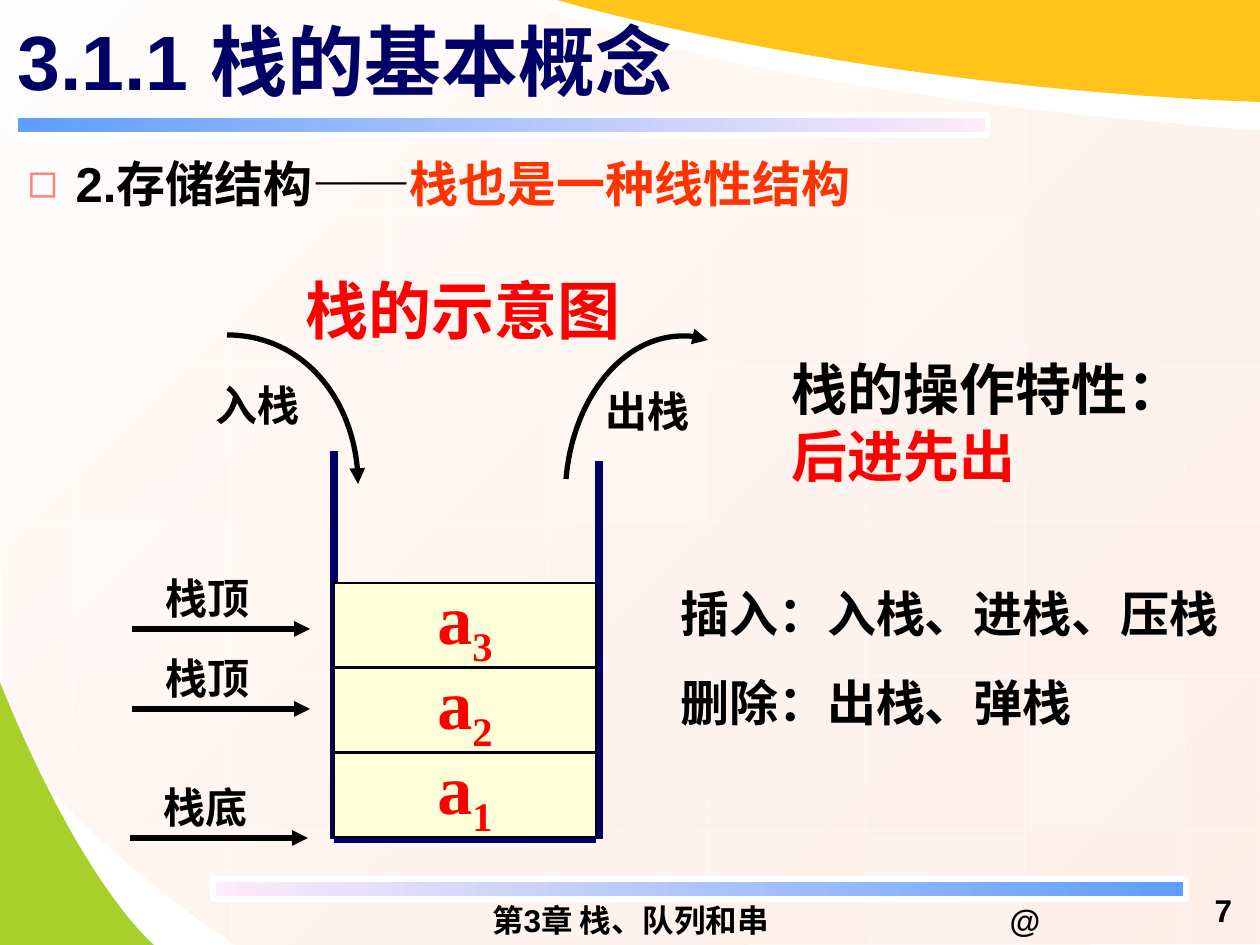
from lxml.etree import SubElement
from pptx import Presentation
from pptx.dml.color import RGBColor
from pptx.enum.shapes import MSO_CONNECTOR, MSO_SHAPE
from pptx.enum.text import MSO_ANCHOR, PP_ALIGN
from pptx.oxml.ns import qn
from pptx.util import Pt

PX = 914400 / 126
WHITE = RGBColor(0xFF, 0xFF, 0xFF)
BLACK = RGBColor(0, 0, 0)
NAVY = RGBColor(0, 0, 0x66)
RED = RGBColor(0xFF, 0, 0)
ORANGE = RGBColor(0xFF, 0x33, 0)
CREAM = RGBColor(0xFF, 0xFF, 0xD9)
GREEN = RGBColor(0xA8, 0xD0, 0x2A)
YELLOW = RGBColor(0xFF, 0xC3, 0x19)
BLUE = RGBColor(0x5E, 0x9E, 0xFF)
PINK = RGBColor(0xFF, 0xEB, 0xFA)
PAPER = RGBColor(0xFF, 0xFE, 0xFE)
PEACH = RGBColor(0xFE, 0xE9, 0xDE)

prs = Presentation()
prs.slide_width, prs.slide_height = round(1260 * PX), round(945 * PX)
slide = prs.slides.add_slide(prs.slide_layouts[1])
shapes = slide.shapes


def add_outline(start, *segments, close=True):
    """Segments hold one point for a line, three for a cubic curve."""
    fb = shapes.build_freeform(*start, scale=PX)
    fb.add_line_segments([point for seg in segments for point in seg], close=close)
    s = fb.convert_to_shape()
    steps = iter(list(s._element.spPr.iter(qn("a:lnTo"))))
    for seg in segments:
        step = next(steps)
        if len(seg) == 3:
            step.addprevious(curve := step.makeelement(qn("a:cubicBezTo")))
            for knot in (step, next(steps), next(steps)):
                curve.append(knot[0])
                knot.getparent().remove(knot)
    s.shadow.inherit = False
    s.line.fill.background()
    return s


def add_line(x1, y1, x2, y2, color, width):
    s = shapes.add_connector(MSO_CONNECTOR.STRAIGHT,
                             *(round(v * PX) for v in (x1, y1, x2, y2)))
    s.line.color.rgb = color
    s.line.width = Pt(width)
    SubElement(s._element.spPr, qn("a:effectLst"))
    return s


# Backdrop: (colour element, opacity percent) pairs collect in see_through
see_through = []
paper = add_outline((1261, 131), [(1261, 944)], [(236, 945)],
                    [(69, 832), (1, 731), (2, 731)], [(-1, -1)], [(530, 1)],
                    [(530, 1), (676, 87), (1261, 131)])
paper.fill.gradient()
paper.fill.gradient_angle = 315
for stop, color in zip(paper.fill.gradient_stops, (PAPER, PEACH)):
    stop.color.rgb = color
see_through.append((list(paper._element.spPr.iter(qn("a:srgbClr")))[-1], 70))

leaf = add_outline((-1, 680), [(-1, 945)], [(154, 945)], [(154, 945), (83, 888), (-1, 680)])
leaf.fill.solid()
leaf.fill.fore_color.rgb = GREEN

columns = zip((0, 0, 0, 0, 54, 86, 107, 123), (814, 941, 932, 937, 932, 937, 937, 941))
grid = [(73 + 1111 * i // 7, top, 73 + 1111 * i // 7, bottom)
        for i, (top, bottom) in enumerate(columns)]
rows = zip((0, 0, 0, 0, 0, 96), (716, 1261, 1261, 1261, 1261, 1256))
grid += [(right, 58 + 773 * i // 5, left, 58 + 773 * i // 5)
         for i, (left, right) in enumerate(rows)]
for ends in grid:
    s = add_line(*ends, WHITE, 0.75)
    see_through.append((next(s._element.spPr.iter(qn("a:srgbClr"))), 50))

for x, y, h, opacity in ((552, 370, 149, 25), (1028, 680, 149, 30), (76, 524, 149, 20),
                         (869, 835, 110, 20), (392, 0, 55, 40), (393, 680, 149, 30),
                         (868, 215, 149, 30)):
    s = shapes.add_shape(MSO_SHAPE.RECTANGLE, *(round(v * PX) for v in (x, y, 155, h)))
    s.shadow.inherit = False
    s.line.fill.background()
    s.fill.solid()
    s.fill.fore_color.rgb = WHITE
    see_through.append((next(s._element.spPr.iter(qn("a:srgbClr"))), opacity))

for color_element, opacity in see_through:
    SubElement(color_element, qn("a:alpha"), val=str(opacity * 1000))

wave = add_outline((1260, 102), [(1260, 0)], [(557, 0)], [(557, 0), (849, 87), (1260, 102)])
wave.fill.solid()
wave.fill.fore_color.rgb = YELLOW

for x, y, colors in ((15, 115, (BLUE, PINK)), (213, 879, (PINK, BLUE))):
    s = shapes.add_shape(MSO_SHAPE.RECTANGLE, *(round(v * PX) for v in (x, y, 973, 20)))
    s.shadow.inherit = False
    s.line.color.rgb = WHITE
    s.line.width = Pt(3)
    s.fill.gradient()
    s.fill.gradient_angle = 0
    for stop, color in zip(s.fill.gradient_stops, colors):
        stop.color.rgb = color

# Title and heading, brought in front of the backdrop
title, body = slide.placeholders
for sp, box, anchor, size, runs in (
        (title, (5, -4, 1134, 127), MSO_ANCHOR.MIDDLE, 44, [("3.1.1 栈的基本概念", NAVY)]),
        (body, (15, 135, 1221, 725), MSO_ANCHOR.TOP, 28,
         [("2.存储结构——", BLACK), ("栈也是一种线性结构", ORANGE)])):
    shapes._spTree.append(sp._element)
    sp.left, sp.top, sp.width, sp.height = (round(v * PX) for v in box)
    tf = sp.text_frame
    tf.vertical_anchor = anchor
    p = tf.paragraphs[0]
    p.alignment = PP_ALIGN.LEFT
    p.space_before = Pt(0)
    for text, color in runs:
        r = p.add_run()
        r.text = text
        for name, value in {"size": Pt(size), "name": "Arial", "bold": True}.items():
            setattr(r.font, name, value)
        r.font.color.rgb = color

p = body.text_frame.paragraphs[0]
p.line_spacing = 1.2
pPr = p._p.get_or_add_pPr()
pPr.set("marL", str(round(48 * PX)))
pPr.set("indent", str(round(-48 * PX)))
SubElement(SubElement(pPr, qn("a:buClr")), qn("a:srgbClr"), val="FF7C80")
SubElement(pPr, qn("a:buChar"), char="◻")

# Stack: three walls, then the cells from bottom to top
for ends in ((334, 451, 334, 839), (334, 839, 596, 839), (599, 461, 599, 839)):
    add_line(*ends, NAVY, 4.5)
for i in range(3):
    s = shapes.add_shape(MSO_SHAPE.RECTANGLE,
                         *(round(v * PX) for v in (334, 753 - 85 * i, 262, 84)))
    s.shadow.inherit = False
    s.fill.solid()
    s.fill.fore_color.rgb = CREAM
    s.line.color.rgb = BLACK
    s.line.width = Pt(0.75)
    tf = s.text_frame
    tf.word_wrap = False
    tf.margin_top = 0
    tf.vertical_anchor = MSO_ANCHOR.MIDDLE
    p = tf.paragraphs[0]
    p.alignment = PP_ALIGN.CENTER
    for text in ("a", str(i + 1)):
        r = p.add_run()
        r.text = text
        for name, value in {"size": Pt(40), "name": "Times New Roman", "bold": True}.items():
            setattr(r.font, name, value)
        r.font.color.rgb = RED
    r._r.get_or_add_rPr().set("baseline", "-25000")

# Arrows: push, pop, and the position pointers
push = add_outline((227, 335), [(300, 335), (358, 402), (358, 484)], close=False)
pop = add_outline((566, 479), [(573, 397), (624, 335), (684, 336)],
                  [(693, 336), (701, 338), (708, 340)], close=False)
for s in (push, pop):
    s.fill.background()
    s.line.color.rgb = BLACK
    s.line.width = Pt(3)
pointers = [add_line(x, y, x + 178, y, BLACK, 3) for x, y in ((132, 629), (132, 709), (130, 838))]
for s in (push, pop, *pointers):
    SubElement(s._element.spPr.find(qn("a:ln")), qn("a:tailEnd"), type="triangle")

# Labels: box, size, font, alignment, paragraphs of (text, colour) runs
SERIF, SANS = "Times New Roman", "Arial"
LEFT, CENTER, RIGHT = PP_ALIGN.LEFT, PP_ALIGN.CENTER, PP_ALIGN.RIGHT
labels = [
    ((878, 901, 294, 38), 18, SANS, CENTER, [[("@", BLACK)]]),
    ((431, 901, 399, 38), 18, SANS, CENTER, [[("第3章 栈、队列和串", BLACK)]]),
    ((1182, 879, 83, 62), 18, SANS, RIGHT, [[("7", BLACK)]]),
    ((779, 348, 436, 147), 32, SERIF, LEFT, [[("栈的操作特性：", BLACK), ("后进先出", RED)]]),
    ((203, 373, 123, 63), 24, SERIF, LEFT, [[("入栈", BLACK)]]),
    ((593, 379, 116, 63), 24, SERIF, LEFT, [[("出栈", BLACK)]]),
    ((153, 566, 126, 63), 24, SERIF, LEFT, [[("栈顶", BLACK)]]),
    ((153, 646, 126, 63), 24, SERIF, LEFT, [[("栈顶", BLACK)]]),
    ((151, 775, 126, 63), 24, SERIF, LEFT, [[("栈底", BLACK)]]),
    ((668, 577, 568, 161), 28, SERIF, LEFT,
     [[("插入：入栈、进栈、压栈", BLACK)], [("删除：出栈、弹栈", BLACK)]]),
    ((293, 265, 354, 88), 36, SERIF, LEFT, [[("栈的示意图", RED)]]),
]
for box, size, font, align, paragraphs in labels:
    tf = shapes.add_textbox(*(round(v * PX) for v in box)).text_frame
    tf.word_wrap = True
    if font == SANS:
        tf.vertical_anchor = MSO_ANCHOR.MIDDLE
        tf.margin_top = tf.margin_bottom = 0
    if align == RIGHT:
        tf.margin_right = round(33 * PX)
    for i, runs in enumerate(paragraphs):
        p = tf.add_paragraph() if i else tf.paragraphs[0]
        p.alignment = align
        p.space_before = Pt(17.5 if i else 0)
        for text, color in runs:
            r = p.add_run()
            r.text = text
            for name, value in {"size": Pt(size), "name": font, "bold": True}.items():
                setattr(r.font, name, value)
            r.font.color.rgb = color

prs.save("out.pptx")
